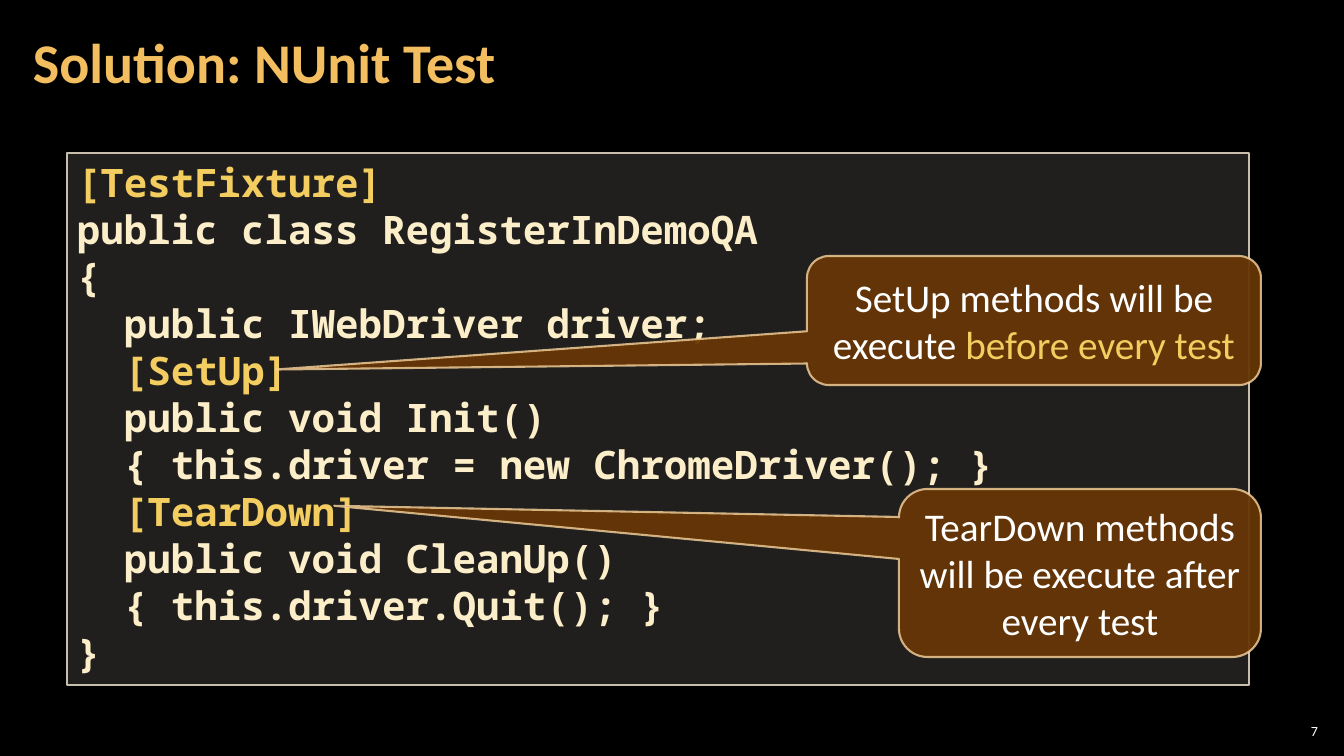
from pptx import Presentation
from pptx.dml.color import RGBColor
from pptx.enum.shapes import MSO_SHAPE as Shape
from pptx.enum.text import MSO_ANCHOR as Anchor, MSO_AUTO_SIZE as AutoSize, PP_ALIGN as Align
from pptx.oxml.xmlchemy import OxmlElement
from pptx.util import Pt

PX = 9144000 / 1008  # EMU in one px

BLACK = RGBColor(0x00, 0x00, 0x00)
WHITE = RGBColor(0xFF, 0xFF, 0xFF)
ORANGE = RGBColor(0xF3, 0xBE, 0x60)
YELLOW = RGBColor(0xF3, 0xCD, 0x60)
CREAM = RGBColor(0xFB, 0xEE, 0xC9)
PANEL = RGBColor(0xD9, 0xD5, 0xC7)
PANEL_EDGE = RGBColor(0xC7, 0xBF, 0xAC)
BROWN = RGBColor(0x66, 0x36, 0x06)
CALLOUT_EDGE = RGBColor(0xF8, 0xD4, 0x9E)

CODE_INDENT = 47  # two characters of code


def px(*lengths):
    return [round(length * PX) for length in lengths]


def write(paragraph, text, size=28, color=WHITE, font="Calibri", bold=False, align=Align.LEFT):
    paragraph.alignment = align
    run = paragraph.add_run()
    run.text = text
    run.font.size = Pt(size)
    run.font.name = font
    run.font.bold = bold
    run.font.color.rgb = color


prs = Presentation()
prs.slide_width, prs.slide_height = px(1344, 756)
slide = prs.slides.add_slide(prs.slide_layouts[5])
slide.background.fill.solid()
slide.background.fill.fore_color.rgb = BLACK

# Title
title = slide.shapes.title
title.left, title.top, title.width, title.height = px(21, 4, 1055, 122)
heading = title.text_frame
heading.auto_size = AutoSize.NONE
heading.word_wrap = True
heading.vertical_anchor = Anchor.MIDDLE
heading.margin_left, heading.margin_right = px(12, 12)
heading.margin_top, heading.margin_bottom = px(4, 4)
heading.paragraphs[0].line_spacing = 0.9
write(heading.paragraphs[0], "Solution: NUnit Test", size=40, color=ORANGE, bold=True)

# Slide number
number = slide.shapes.add_textbox(*px(1275, 720, 47, 21)).text_frame
number.word_wrap = True
number.vertical_anchor = Anchor.MIDDLE
number.margin_left, number.margin_right, number.margin_top, number.margin_bottom = px(4, 4, 4, 4)
write(number.paragraphs[0], "7", size=10, align=Align.RIGHT)

# Code panel and callouts: kind, box, adjustments, fill, line, line width, opacities
code_panel, setup_note, teardown_note = panels = [
    slide.shapes.add_shape(kind, *px(*box))
    for kind, box in [
        (Shape.RECTANGLE, (67, 153, 1182, 532)),
        (Shape.ROUNDED_RECTANGULAR_CALLOUT, (807, 256, 454, 129)),
        (Shape.ROUNDED_RECTANGULAR_CALLOUT, (899, 489, 362, 168)),
    ]
]
CALLOUT_STYLE = (BROWN, CALLOUT_EDGE, 1.5, (95, 80))
styles = [(PANEL, PANEL_EDGE, 1, (15, 100)), CALLOUT_STYLE, CALLOUT_STYLE]
for panel, (fill, edge, weight, opacities) in zip(panels, styles):
    panel.shadow.inherit = False
    panel.fill.solid()
    panel.fill.fore_color.rgb = fill
    panel.line.color.rgb = edge
    panel.line.width = Pt(weight)
    panel.text_frame.word_wrap = True
    for color, opacity in zip(panel._element.spPr.xpath(".//a:srgbClr"), opacities):
        alpha = OxmlElement("a:alpha")
        alpha.set("val", str(opacity * 1000))
        color.append(alpha)

# Code: indent level and text; attributes are highlighted
code_lines = [
    (0, "[TestFixture]"),
    (0, "public class RegisterInDemoQA"),
    (0, "{"),
    (1, "public IWebDriver driver;"),
    (1, "[SetUp]"),
    (1, "public void Init()"),
    (1, "{ this.driver = new ChromeDriver(); }"),
    (1, "[TearDown]"),
    (1, "public void CleanUp()"),
    (1, "{ this.driver.Quit(); }"),
    (0, "}"),
]
code = code_panel.text_frame
code.vertical_anchor = Anchor.TOP
for index, (level, text) in enumerate(code_lines):
    line = code.add_paragraph() if index else code.paragraphs[0]
    line.line_spacing = Pt(33.6)
    line._p.get_or_add_pPr().set("marL", str(px(level * CODE_INDENT)[0]))
    write(line, text, color=YELLOW if text.startswith("[") else CREAM,
          font="Noto Sans Mono", bold=True)

# Callout pointers and texts
notes = [
    (setup_note, (-1.67, 0.38, 0.17),
     [("SetUp methods will be execute ", WHITE), ("before every test", YELLOW)]),
    (teardown_note, (-2.06, -0.4, 0.17),
     [("TearDown methods will be execute after every test", WHITE)]),
]
for note, pointer, parts in notes:
    for index, value in enumerate(pointer):
        note.adjustments[index] = value
    note.text_frame.vertical_anchor = Anchor.MIDDLE
    for text, color in parts:
        write(note.text_frame.paragraphs[0], text, color=color, align=Align.CENTER)

prs.save("out.pptx")
